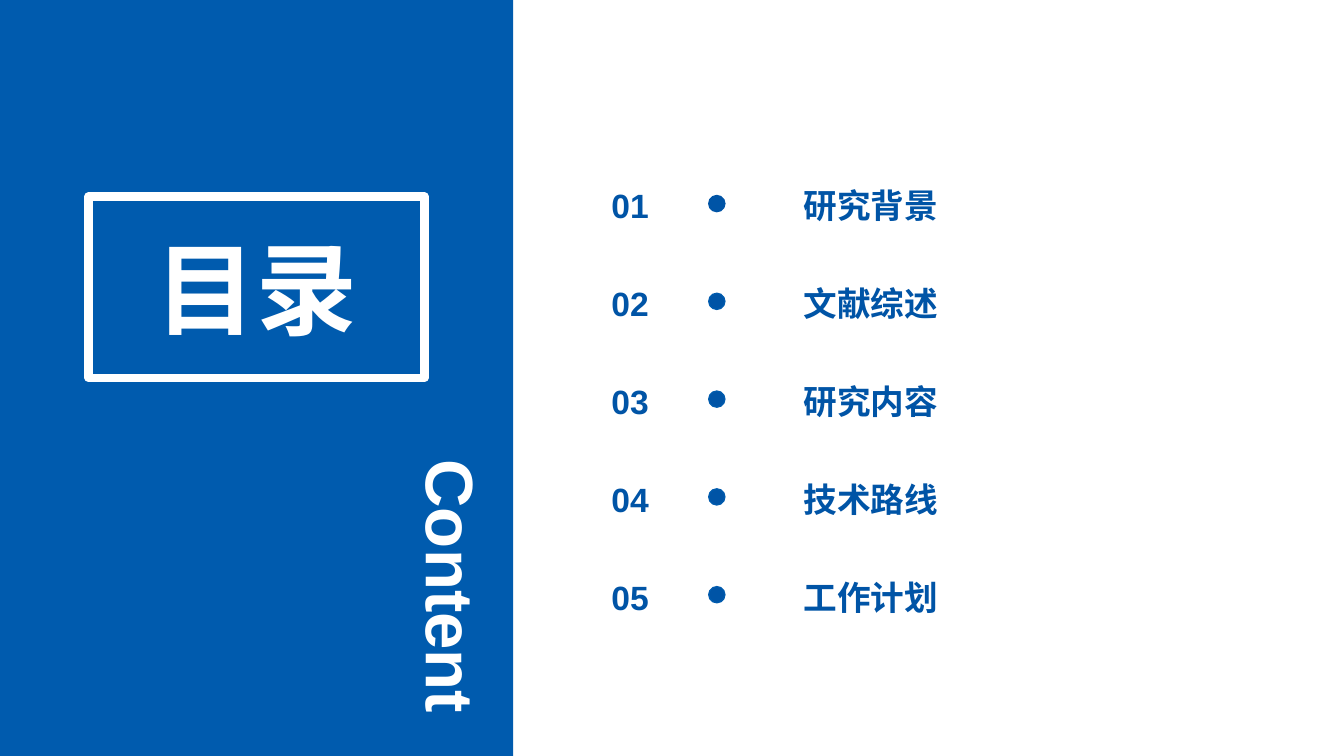
import pptx
import pptx.util
import pptx.dml.color
import pptx.enum.shapes
import pptx.enum.text

TITLE = "目录"
SUBTITLE = "Content"
CHAPTERS = ["研究背景", "文献综述", "研究内容", "技术路线", "工作计划"]

THEME = {
    "font": "Arial",
    "panel": "005BAE",
    "accent": "0054A6",
    "light": "FFFFFF",
    "title": 72,
    "subtitle": 48,
    "entry": 24,
    "frame": 6,
    "outline": 1,
}

WIDTH, HEIGHT = 13.33, 7.5
PANEL = (0, 0, 5.09, HEIGHT)
SUBTITLE_BOX = (3.87, 4.46, 1.07, 2.78)
TITLE_BOX = (0.88, 1.95, 3.33, 1.8)
FIRST_ROW, ROW_PITCH, ROW_HEIGHT = 1.79, 0.97, 0.5
NUMBER_LEFT, NUMBER_WIDTH = 5.76, 0.98
DOT_LEFT, DOT_DROP, DOT_SIZE = 7.03, 0.15, 0.16
CHAPTER_LEFT, CHAPTER_WIDTH = 7.87, 3.89

SHAPE = pptx.enum.shapes.MSO_SHAPE
ALIGN = pptx.enum.text.PP_ALIGN
ANCHOR = pptx.enum.text.MSO_ANCHOR


def color(key):
    return pptx.dml.color.RGBColor.from_string(THEME[key])


def inches(box):
    return [pptx.util.Inches(length) for length in box]


def add_block(kind, box, fill, line=None, weight="outline"):
    block = slide.shapes.add_shape(kind, *inches(box))
    block.shadow.inherit = False
    block.fill.solid()
    block.fill.fore_color.rgb = color(fill)
    if line:
        block.line.color.rgb = color(line)
        block.line.width = pptx.util.Pt(THEME[weight])
    else:
        block.line.fill.background()
    return block


def write(holder, words, size, ink, align=ALIGN.CENTER, anchor=ANCHOR.TOP):
    frame = holder.text_frame
    frame.text = words
    frame.word_wrap = True
    frame.vertical_anchor = anchor
    paragraph = frame.paragraphs[0]
    paragraph.alignment = align
    font = paragraph.runs[0].font
    font.name = THEME["font"]
    font.size = pptx.util.Pt(THEME[size])
    font.bold = True
    font.color.rgb = color(ink)


def add_entry(box, words, align):
    entry = slide.shapes.add_textbox(*inches(box))
    write(entry, words, "entry", "accent", align)


deck = pptx.Presentation()
deck.slide_width, deck.slide_height = inches((WIDTH, HEIGHT))
slide = deck.slides.add_slide(deck.slide_layouts[6])

add_block(SHAPE.RECTANGLE, PANEL, "panel")
subtitle = add_block(SHAPE.RECTANGLE, SUBTITLE_BOX, "panel")
write(subtitle, SUBTITLE, "subtitle", "light")
subtitle.text_frame._txBody.bodyPr.set("vert", "eaVert")
title = add_block(SHAPE.RECTANGLE, TITLE_BOX, "panel", "light", "frame")
write(title, TITLE, "title", "light", anchor=ANCHOR.MIDDLE)

for row, chapter in enumerate(CHAPTERS):
    top = FIRST_ROW + row * ROW_PITCH
    add_block(SHAPE.OVAL, (DOT_LEFT, top + DOT_DROP, DOT_SIZE, DOT_SIZE),
              "accent", "panel" if row else "accent")
    add_entry((NUMBER_LEFT, top, NUMBER_WIDTH, ROW_HEIGHT), f"{row + 1:02d}", ALIGN.CENTER)
    add_entry((CHAPTER_LEFT, top, CHAPTER_WIDTH, ROW_HEIGHT), chapter, ALIGN.LEFT)

deck.save("out.pptx")
